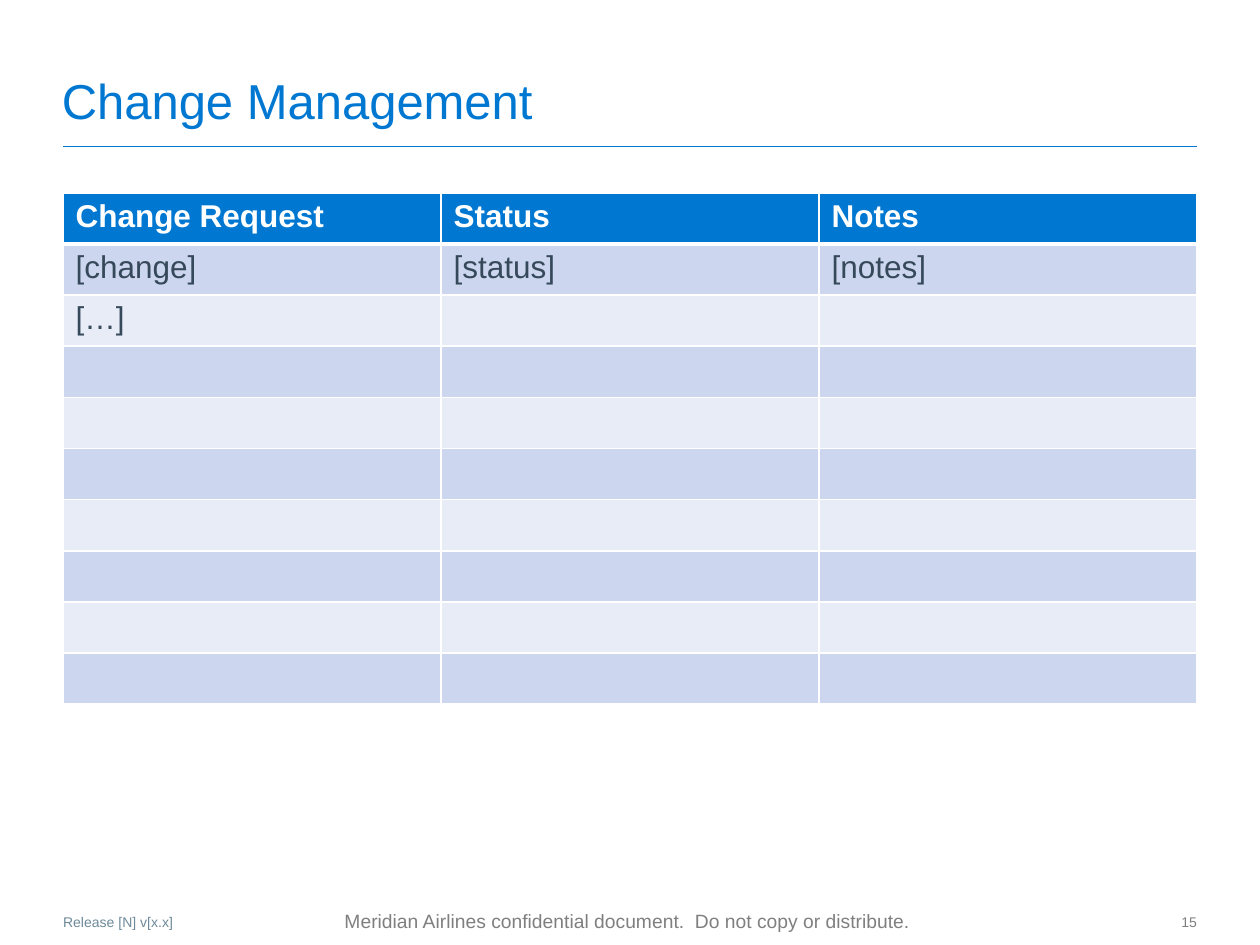
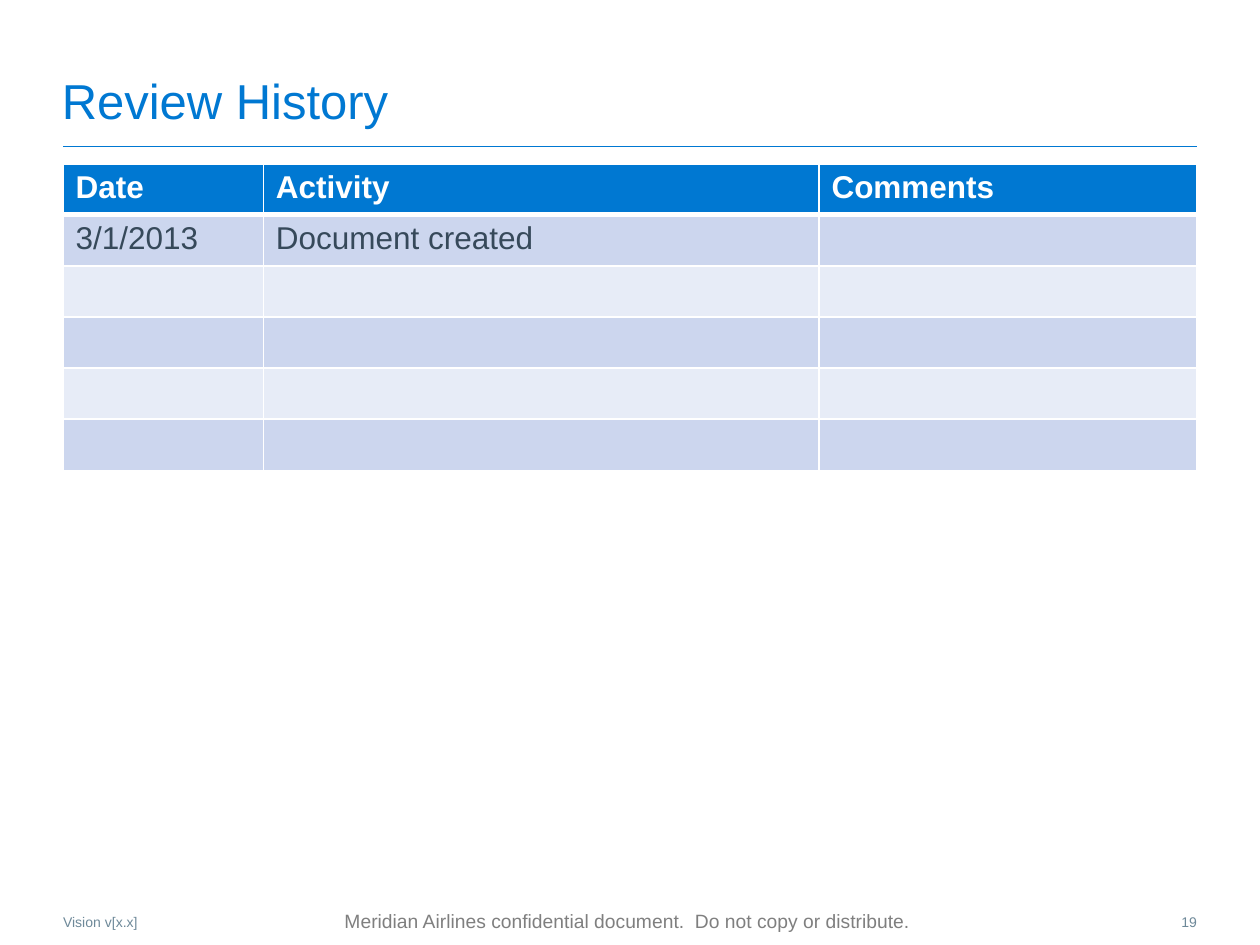
from dataclasses import dataclass

from lxml import etree
from pptx import Presentation
from pptx.dml.color import RGBColor
from pptx.enum.shapes import MSO_CONNECTOR
from pptx.enum.text import MSO_ANCHOR, MSO_AUTO_SIZE, PP_ALIGN
from pptx.oxml.ns import qn
from pptx.util import Inches, Pt

STRAIGHT = MSO_CONNECTOR.STRAIGHT
LEFT, CENTER, RIGHT = PP_ALIGN.LEFT, PP_ALIGN.CENTER, PP_ALIGN.RIGHT
TOP, MIDDLE, BOTTOM = MSO_ANCHOR.TOP, MSO_ANCHOR.MIDDLE, MSO_ANCHOR.BOTTOM
NO_AUTOFIT = MSO_AUTO_SIZE.NONE

# The slide is a grid of square units
UNIT = Inches(0.1)
COLUMNS, ROWS = 100, 75
MARGIN = 5
CONTENT_WIDTH = COLUMNS - 2 * MARGIN
CONFIDENTIALITY = "Meridian Airlines confidential document.  Do not copy or distribute."


@dataclass(frozen=True)
class Theme:
    font: str = "Arial"
    blue: str = "0078D2"
    white: str = "FFFFFF"
    body: str = "36495A"
    slate: str = "6E8999"
    gray: str = "7F7F7F"
    bands: tuple = ("CCD6EE", "E7ECF7")
    title_size: int = 28
    table_size: int = 18
    notice_size: int = 11
    footer_size: int = 8
    rule_width: float = 0.5
    border: int = 1
    header_border: int = 3


THEME = Theme()


def grid(*lengths):
    return [round(length * UNIT) for length in lengths]


def color(value):
    return RGBColor.from_string(value)


def write(frame, text, size, text_color, align=LEFT, bold=False):
    frame.text = text
    paragraph = frame.paragraphs[0]
    paragraph.alignment = align
    for run in paragraph.runs:
        run.font.name = THEME.font
        run.font.size = Pt(size)
        run.font.bold = bold
        run.font.color.rgb = color(text_color)


def set_frame(frame, anchor, wrap=True):
    frame.auto_size = NO_AUTOFIT
    frame.word_wrap = wrap
    frame.vertical_anchor = anchor
    frame.margin_left = frame.margin_right = 0
    frame.margin_top = frame.margin_bottom = 0


def add_title(slide, text):
    title = slide.shapes.title
    title.left, title.top, title.width, title.height = grid(
        MARGIN - 0.1, 4.2, CONTENT_WIDTH + 0.1, 6.1)
    set_frame(title.text_frame, BOTTOM)
    write(title.text_frame, text, THEME.title_size, THEME.blue)


def add_rule(slide):
    rule = slide.shapes.add_connector(
        STRAIGHT, *grid(MARGIN, 11.6, COLUMNS - MARGIN, 11.6))
    rule.line.color.rgb = color(THEME.blue)
    rule.line.width = Pt(THEME.rule_width)
    etree.SubElement(rule._element.spPr, qn("a:effectLst"))


def add_label(slide, box, text, size, text_color, align=LEFT, anchor=TOP, wrap=True):
    frame = slide.shapes.add_textbox(*grid(*box)).text_frame
    set_frame(frame, anchor, wrap)
    write(frame, text, size, text_color, align)


def add_footer(slide, version, page, page_color):
    add_label(slide, (20.1, 71.8, 59.4, 2.6), CONFIDENTIALITY,
              THEME.notice_size, THEME.gray, CENTER, MIDDLE, wrap=False)
    add_label(slide, (MARGIN, 72.5, 42.5, 1.4), version,
              THEME.footer_size, THEME.slate)
    add_label(slide, (COLUMNS - MARGIN - 3.5, 72.5, 3.5, 1.5), page,
              THEME.footer_size, page_color, RIGHT)


def set_borders(cell, top, bottom):
    """Put white borders first in the cell properties, ahead of the fill."""
    properties = cell._tc.get_or_add_tcPr()
    widths = {"lnL": THEME.border, "lnR": THEME.border, "lnT": top, "lnB": bottom}
    for position, (side, width) in enumerate(widths.items()):
        border = etree.Element(qn(f"a:{side}"), w=str(Pt(width)))
        fill = etree.SubElement(border, qn("a:solidFill"))
        etree.SubElement(fill, qn("a:srgbClr"), val=THEME.white)
        properties.insert(position, border)


def add_log(slide, top, height, widths, header, entries, row_count):
    """Add a header row, the entries, and blank rows up to row_count."""
    log = slide.shapes.add_table(
        row_count, len(widths), *grid(MARGIN, top, CONTENT_WIDTH, height)).table
    for column, width in zip(log.columns, grid(*widths)):
        column.width = width
    texts = {(r, c): text for r, line in enumerate([header, *entries])
             for c, text in enumerate(line)}
    for r in range(row_count):
        is_header = r == 0
        for c in range(len(widths)):
            cell = log.cell(r, c)
            cell.fill.solid()
            cell.fill.fore_color.rgb = color(
                THEME.blue if is_header else THEME.bands[(r - 1) % 2])
            set_borders(cell,
                        THEME.header_border if r == 1 else THEME.border,
                        THEME.header_border if is_header else THEME.border)
            if (r, c) in texts:
                write(cell.text_frame, texts[r, c], THEME.table_size,
                      THEME.white if is_header else THEME.body, bold=is_header)


def add_page(deck, title, version, page, page_color):
    slide = deck.slides.add_slide(deck.slide_layouts[5])
    add_rule(slide)
    add_title(slide, title)
    add_footer(slide, version, page, page_color)
    return slide


def main():
    deck = Presentation()
    deck.slide_width, deck.slide_height = grid(COLUMNS, ROWS)

    # Change requests
    changes = add_page(deck, "Change Management", "Release [N] v[x.x]", "15", THEME.gray)
    add_log(changes, 15.3, 40.6, [CONTENT_WIDTH / 3] * 3,
            ["Change Request", "Status", "Notes"],
            [["[change]", "[status]", "[notes]"], ["[…]"]], row_count=10)

    # Document reviews
    reviews = add_page(deck, "Review History", "Vision v[x.x]", "19", THEME.slate)
    add_log(reviews, 13, 24.3, [15.9, 44.1, 30],
            ["Date", "Activity", "Comments"],
            [["3/1/2013", "Document created"]], row_count=6)

    deck.save("out.pptx")


if __name__ == "__main__":
    main()
